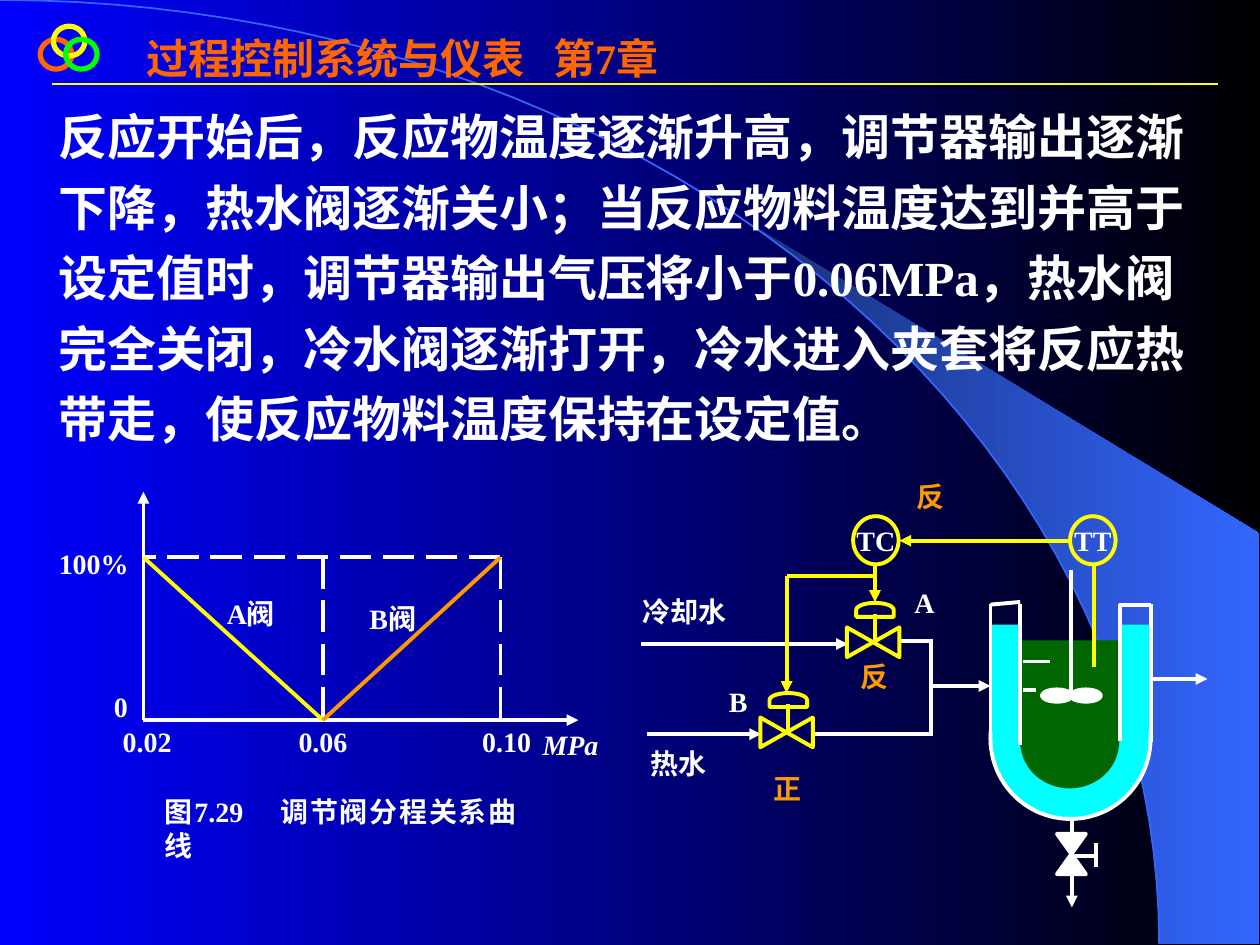
from dataclasses import dataclass
from math import cos, radians, sin

from lxml.etree import SubElement
from pptx import Presentation
from pptx.dml.color import RGBColor as Color
from pptx.enum.dml import MSO_LINE_DASH_STYLE as Dash
from pptx.enum.shapes import MSO_CONNECTOR_TYPE as Connector
from pptx.enum.shapes import MSO_AUTO_SHAPE_TYPE as Shape
from pptx.enum.text import MSO_VERTICAL_ANCHOR as Anchor
from pptx.enum.text import PP_PARAGRAPH_ALIGNMENT as Align
from pptx.oxml.ns import qn
from pptx.util import Pt


@dataclass(frozen=True)
class Theme:
    font: str = "Times New Roman"
    title_size: float = 24
    body_size: float = 28
    label_size: float = 16
    thin: float = 1
    rule: float = 1.5
    stroke: float = 2.25
    ring: float = 3
    white: str = "FFFFFF"
    black: str = "000000"
    yellow: str = "FFFF00"
    orange: str = "FF9900"
    title: str = "FF6600"
    green: str = "00FF00"
    blue: str = "0000FF"
    sky: str = "3366FF"
    navy: str = "182F76"
    water: str = "00FFFF"
    liquid: str = "006600"


class Page:
    def __init__(self, deck, theme):
        self.slide = deck.slides.add_slide(deck.slide_layouts[6])
        self.shapes = self.slide.shapes
        self.theme = theme

    def gradient(self, fill, first, last):
        fill.gradient()
        fill.gradient_angle = 0
        for stop, color in zip(fill.gradient_stops, (first, last)):
            stop.color.rgb = Color.from_string(color)

    def paint(self, shape, fill=None, line=None, width=None):
        shape.shadow.inherit = False
        if fill:
            shape.fill.solid()
            shape.fill.fore_color.rgb = Color.from_string(fill)
        else:
            shape.fill.background()
        if line:
            shape.line.color.rgb = Color.from_string(line)
            shape.line.width = Pt(width or self.theme.stroke)
        else:
            shape.line.fill.background()

    def outline(self, points, close):
        spots = [(Pt(x), Pt(y)) for x, y in points]
        builder = self.shapes.build_freeform(*spots[0])
        builder.add_line_segments(spots[1:], close=close)
        return builder.convert_to_shape()

    def shape(self, kind, x, y, w, h, fill=None, line=None, width=None, turn=0):
        shape = self.shapes.add_shape(kind, Pt(x), Pt(y), Pt(w), Pt(h))
        shape.rotation = turn
        self.paint(shape, fill, line, width)
        return shape

    def line(self, x1, y1, x2, y2, color=None, width=None, arrow=False, dash=None):
        line = self.shapes.add_connector(Connector.STRAIGHT, Pt(x1), Pt(y1), Pt(x2), Pt(y2))
        line.line.color.rgb = Color.from_string(color or self.theme.white)
        line.line.width = Pt(width or self.theme.stroke)
        if dash:
            line.line.dash_style = dash
        if arrow:
            SubElement(line.line._get_or_add_ln(), qn("a:tailEnd"), type="triangle")
        SubElement(line._element.spPr, qn("a:effectLst"))

    def fill_text(self, frame, text, size=None, color=None, italic=False, align=None, spacing=None, tab=None):
        para = frame.paragraphs[0]
        if tab:
            stops = SubElement(para._p.get_or_add_pPr(), qn("a:tabLst"))
            SubElement(stops, qn("a:tab"), pos=str(Pt(tab)), algn="l")
        para.alignment = align or Align.LEFT
        if spacing:
            para.line_spacing = spacing
        span = para.add_run()
        span.text = text
        font = span.font
        font.name = self.theme.font
        font.size = Pt(size or self.theme.label_size)
        font.bold = True
        font.italic = italic
        font.color.rgb = Color.from_string(color or self.theme.white)

    def text(self, text, x, y, w, h, wrap=True, anchor=Anchor.TOP, **style):
        box = self.shapes.add_textbox(Pt(x), Pt(y), Pt(w), Pt(h))
        box.text_frame.word_wrap = wrap
        box.text_frame.vertical_anchor = anchor
        self.fill_text(box.text_frame, text, **style)

    def instrument(self, text, x, y):
        frame = self.shape(Shape.OVAL, x, y, 26, 27.5, line=self.theme.yellow).text_frame
        frame.margin_left = frame.margin_right = frame.margin_top = frame.margin_bottom = 0
        frame.word_wrap = False
        frame.vertical_anchor = Anchor.MIDDLE
        self.fill_text(frame, text, align=Align.CENTER)

    def valve(self, x, y):
        yellow = self.theme.yellow
        self.shape(Shape.FLOWCHART_COLLATE, x - 8.5, y - 15, 17, 30, line=yellow, turn=270)
        self.line(x + 1, y, x + 1, y - 16, yellow)
        self.shape(Shape.FLOWCHART_DELAY, x - 3, y - 29.25, 8, 21.5, line=yellow, turn=270)


def arc(start, end=90, steps=48):
    angles = [radians(start + (end - start) * i / steps) for i in range(steps + 1)]
    return [(662.4 * sin(a), 539.3 * (1 - cos(a))) for a in angles]


def draw_frame(page, theme):
    page.gradient(page.slide.background.fill, theme.blue, theme.black)
    wedge = page.outline(arc(39.8) + [(719.3, 539.3), (719.3, 304.6)], True)
    page.paint(wedge)
    page.gradient(wedge.fill, theme.navy, theme.sky)
    page.paint(page.outline(arc(0), False), line=theme.sky, width=theme.thin)
    page.line(30, 48, 696, 48, theme.yellow, theme.rule)
    page.text("过程控制系统与仪表\t第7章", 76.5, 15, 323, 65, size=theme.title_size, color=theme.title, tab=232.5)
    for x, y, color in ((23, 22.5, theme.title), (30.5, 15, theme.yellow), (37.5, 22.5, theme.green)):
        page.shape(Shape.OVAL, x, y, 18, 17, line=color, width=theme.ring)
    page.text("反应开始后，反应物温度逐渐升高，调节器输出逐渐下降，热水阀逐渐关小；"
              "当反应物料温度达到并高于设定值时，调节器输出气压将小于0.06MPa，热水阀完全关闭，"
              "冷水阀逐渐打开，冷水进入夹套将反应热带走，使反应物料温度保持在设定值。",
              26.5, 50.5, 666, 209, anchor=Anchor.MIDDLE, size=theme.body_size, spacing=1.2)


def draw_valve_curve(page, theme):
    left, middle, right, top, base = 82, 184.5, 286, 318.5, 411.5
    page.line(left, base, left, 281, arrow=True)
    page.line(left, base, 330.5, base, arrow=True)
    for x in (middle, right):
        page.line(x, top, x, base, dash=Dash.LONG_DASH)
    page.line(right, top, left, top, dash=Dash.LONG_DASH)
    page.line(left, top, middle, base, theme.yellow)
    page.line(right, top, middle, base, theme.orange)
    for text, x, y, w, h in (
        ("100%", 26.5, 309, 59, 18), ("0", 58, 390.5, 32, 23),
        ("0.02", 63, 410.5, 59, 26), ("0.06", 163.5, 410.5, 62, 22),
        ("0.10", 268.5, 410.5, 56, 22),
        ("A阀", 122.5, 337.5, 51, 31), ("B阀", 204, 340, 43, 31),
    ):
        page.text(text, x, y, w, h)
    page.text("MPa", 303, 412, 58, 26, italic=True)
    page.text("图7.29\t调节阀分程关系曲线", 87, 450.5, 215.5, 25, align=Align.JUSTIFY, tab=64)


def draw_reactor(page, theme):
    page.shape(Shape.OVAL, 566, 376, 91.5, 92, theme.water, theme.white)
    page.shape(Shape.OVAL, 583, 397.5, 56.5, 53, theme.liquid)
    page.shape(Shape.RECTANGLE, 582.5, 366, 57.5, 57.5, theme.liquid)
    for x in (566, 640):
        page.shape(Shape.RECTANGLE, x, 357, 16.5, 62, theme.water)
    for x, bottom in ((566, 424), (583, 426), (640, 423.5), (657.5, 424)):
        page.line(x, 345, x, bottom)
    page.line(566, 345.5, 583, 344)
    page.line(639.5, 345.5, 658, 345.5)
    page.line(612, 326, 612, 398)
    for x in (595.5, 612):
        page.shape(Shape.OVAL, x, 394, 17, 7, theme.white, theme.white)
    page.line(584.5, 378, 600, 378)
    page.line(584.5, 394.5, 592, 394.5)
    page.line(657.5, 388, 690, 388, arrow=True)
    page.line(612.5, 468, 612.5, 518.5, arrow=True)
    page.shape(Shape.FLOWCHART_COLLATE, 604, 476.5, 16.5, 23, theme.white, theme.white)
    page.line(612.5, 489, 626.5, 489)
    page.line(626.5, 481.5, 626.5, 495.5)


def draw_control_loop(page, theme):
    for line in ((532, 365, 532, 420), (464, 419.5, 533, 419.5), (513, 366.5, 533, 366.5)):
        page.line(*line)
    for line in ((532, 392, 566, 392), (366.5, 368, 484.5, 368), (369.5, 419.5, 435, 419.5)):
        page.line(*line, arrow=True)
    page.valve(499, 367)
    page.valve(449.5, 418.5)
    page.instrument("TC", 487.5, 295)
    page.instrument("TT", 611.5, 295)
    page.line(625, 322.5, 625, 381, theme.yellow)
    page.line(449.5, 329, 500, 329, theme.yellow)
    for line in ((611, 309, 514, 309), (500, 322.5, 500, 344), (449.5, 329, 449.5, 396)):
        page.line(*line, theme.yellow, arrow=True)
    for text, x, y, w, h in (
        ("热水", 364.5, 419, 63, 37), ("冷却水", 360, 332.5, 76, 28),
        ("A", 515.5, 327, 39, 25), ("B", 409.5, 384, 39, 25),
    ):
        page.text(text, x, y, w, h, spacing=1.2)
    for text, x, y in (("正", 435, 433.5), ("反", 484.5, 369.5), ("反", 516.5, 266.5)):
        page.text(text, x, y, 30, 30, wrap=False, color=theme.orange, spacing=1.2)


def main():
    theme = Theme()
    deck = Presentation()
    deck.slide_width, deck.slide_height = Pt(720), Pt(540)
    page = Page(deck, theme)
    for draw in (draw_frame, draw_valve_curve, draw_reactor, draw_control_loop):
        draw(page, theme)
    deck.save("out.pptx")


if __name__ == "__main__":
    main()
